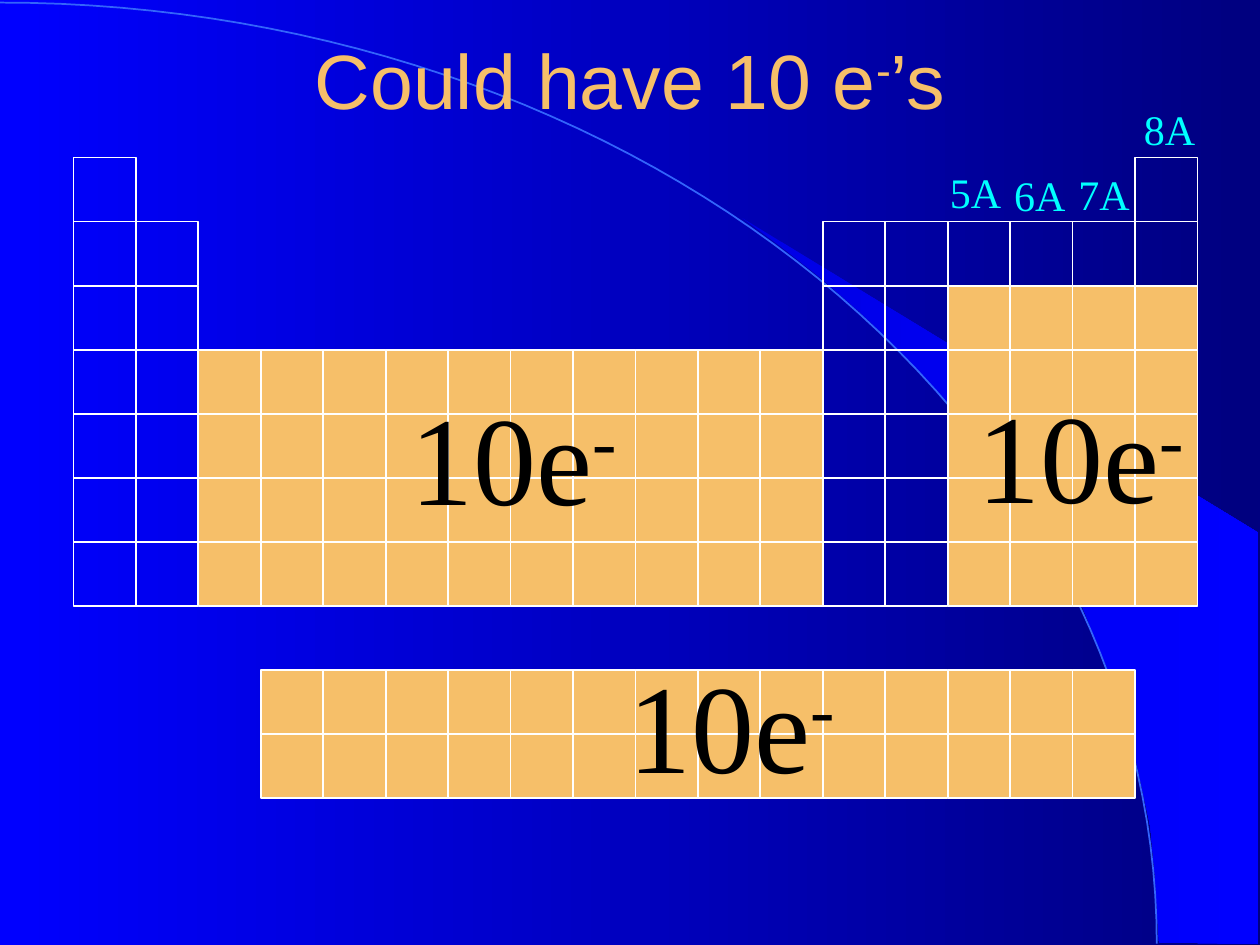
from math import cos, pi, sin

from pptx import Presentation
from pptx.dml.color import RGBColor
from pptx.enum.shapes import MSO_SHAPE
from pptx.enum.text import MSO_ANCHOR, PP_ALIGN
from pptx.util import Pt

COLORS = {
    "blue": "0000FF", "navy": "00007F", "royal": "0000E5", "arc": "3365FB",
    "gold": "F6BF69", "white": "FFFFFF", "cyan": "00FFFF", "black": "000000",
}
TITLE = [("Could have 10 e", False), ("-", True), ("’s", False)]
ELECTRONS = [("10e", False), ("-", True)]
ELECTRON_PLACES = [(224.6, 213.1), (349.2, 366.5), (548.6, 212.4)]
GROUPS = [("5A", 535.7, 91.4), ("6A", 572.4, 93.6), ("7A", 609.1, 92.9), ("8A", 646.6, 55.4)]

# first column, columns, first row, rows, filled
BLOCKS = [
    (0, 1, 0, 7, False),
    (1, 1, 1, 6, False),
    (2, 10, 3, 4, True),
    (12, 2, 1, 6, False),
    (14, 4, 1, 1, False),
    (17, 1, 0, 1, False),
    (14, 4, 2, 5, True),
    (3, 14, 8, 2, True),
]
GRID_LEFT, GRID_TOP, CELL_WIDTH, CELL_HEIGHT = 42, 90, 35.68, 36.62

WEDGE = [
    (662.4, 538.6), (719.3, 539.3), (719.3, 304.6), (424.1, 124.6), (449.3, 143.3),
    (470.2, 159.8), (493.2, 180), (515.5, 201.6), (548.6, 237.6), (578.2, 276.5),
    (599, 310.3), (617.8, 344.9), (632.2, 380.2), (643, 411.8), (650.2, 438.5),
    (657.4, 472.3), (660.2, 501.1),
]
ARC_WIDTH, ARC_HEIGHT, ARC_BASE, ARC_STEPS = 661, 537.8, 539.3, 60


def rgb(name):
    return RGBColor.from_string(COLORS[name])


def shade(fill, *names):
    fill.gradient()
    fill.gradient_angle = 0
    for stop, name in zip(fill.gradient_stops, names):
        stop.color.rgb = rgb(name)


def outline(shape, color):
    shape.line.color.rgb = rgb(color)
    shape.line.width = Pt(1)


def add_outline_path(shapes, points, close):
    start, *rest = [(Pt(x), Pt(y)) for x, y in points]
    builder = shapes.build_freeform(*start)
    builder.add_line_segments(rest, close=close)
    shape = builder.convert_to_shape()
    shape.shadow.inherit = False
    return shape


def write(frame, pieces, size, font, color, align):
    paragraph = frame.paragraphs[0]
    paragraph.alignment = align
    for text, raised in pieces:
        run = paragraph.add_run()
        run.text = text
        run.font.size = Pt(size)
        run.font.name = font
        run.font.color.rgb = rgb(color)
        if raised:
            run.font._element.set("baseline", "30000")


def add_label(shapes, pieces, box, size, color, align):
    frame = shapes.add_textbox(*map(Pt, box)).text_frame
    frame.word_wrap = True
    write(frame, pieces, size, "Times New Roman", color, align)


def add_block(shapes, first_column, columns, first_row, rows, filled):
    for row in range(first_row, first_row + rows):
        for column in range(first_column, first_column + columns):
            cell = shapes.add_shape(
                MSO_SHAPE.RECTANGLE,
                Pt(GRID_LEFT + column * CELL_WIDTH), Pt(GRID_TOP + row * CELL_HEIGHT),
                Pt(CELL_WIDTH), Pt(CELL_HEIGHT),
            )
            cell.shadow.inherit = False
            outline(cell, "white")
            if filled:
                cell.fill.solid()
                cell.fill.fore_color.rgb = rgb("gold")
            else:
                cell.fill.background()


def main():
    deck = Presentation()
    deck.slide_width, deck.slide_height = Pt(720), Pt(540)
    slide = deck.slides.add_slide(deck.slide_layouts[5])
    shapes = slide.shapes
    shade(slide.background.fill, "blue", "navy")

    wedge = add_outline_path(shapes, WEDGE, True)
    shade(wedge.fill, "royal", "blue")
    wedge.line.fill.background()

    angles = [pi / 2 * step / ARC_STEPS for step in range(ARC_STEPS + 1)]
    curve = [(ARC_WIDTH * sin(a), ARC_BASE - ARC_HEIGHT * cos(a)) for a in angles]
    arc = add_outline_path(shapes, curve, False)
    arc.fill.background()
    outline(arc, "arc")

    title = shapes.title
    title.element.getparent().append(title.element)
    title.left, title.top, title.width, title.height = Pt(54), Pt(0), Pt(612), Pt(90)
    title.text_frame.vertical_anchor = MSO_ANCHOR.MIDDLE
    write(title.text_frame, TITLE, 44, "Arial", "gold", PP_ALIGN.CENTER)

    for block in BLOCKS:
        add_block(shapes, *block)
    for group, left, top in GROUPS:
        add_label(shapes, [(group, False)], (left, top, 46.8, 36), 24, "cyan", PP_ALIGN.LEFT)
    for left, top in ELECTRON_PLACES:
        add_label(shapes, ELECTRONS, (left, top, 137.5, 93.6), 72, "black", PP_ALIGN.CENTER)

    deck.save("out.pptx")


if __name__ == "__main__":
    main()
